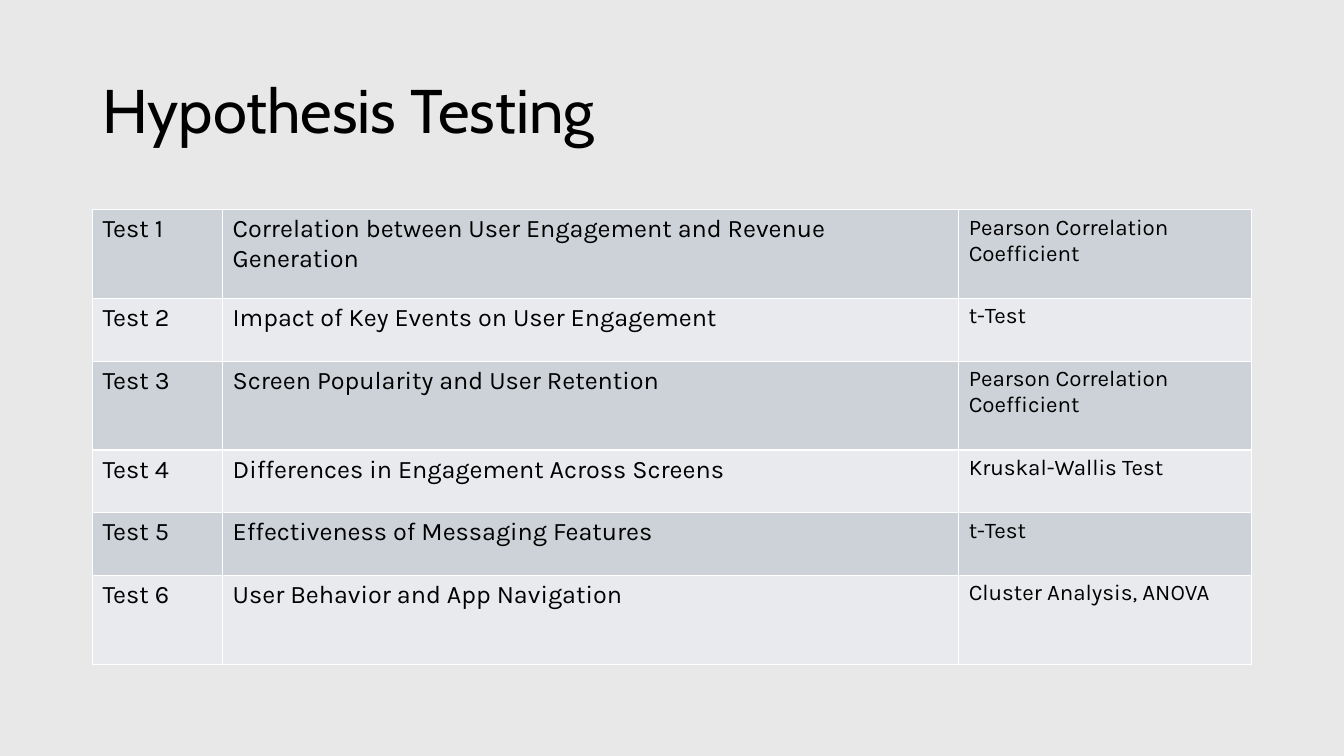
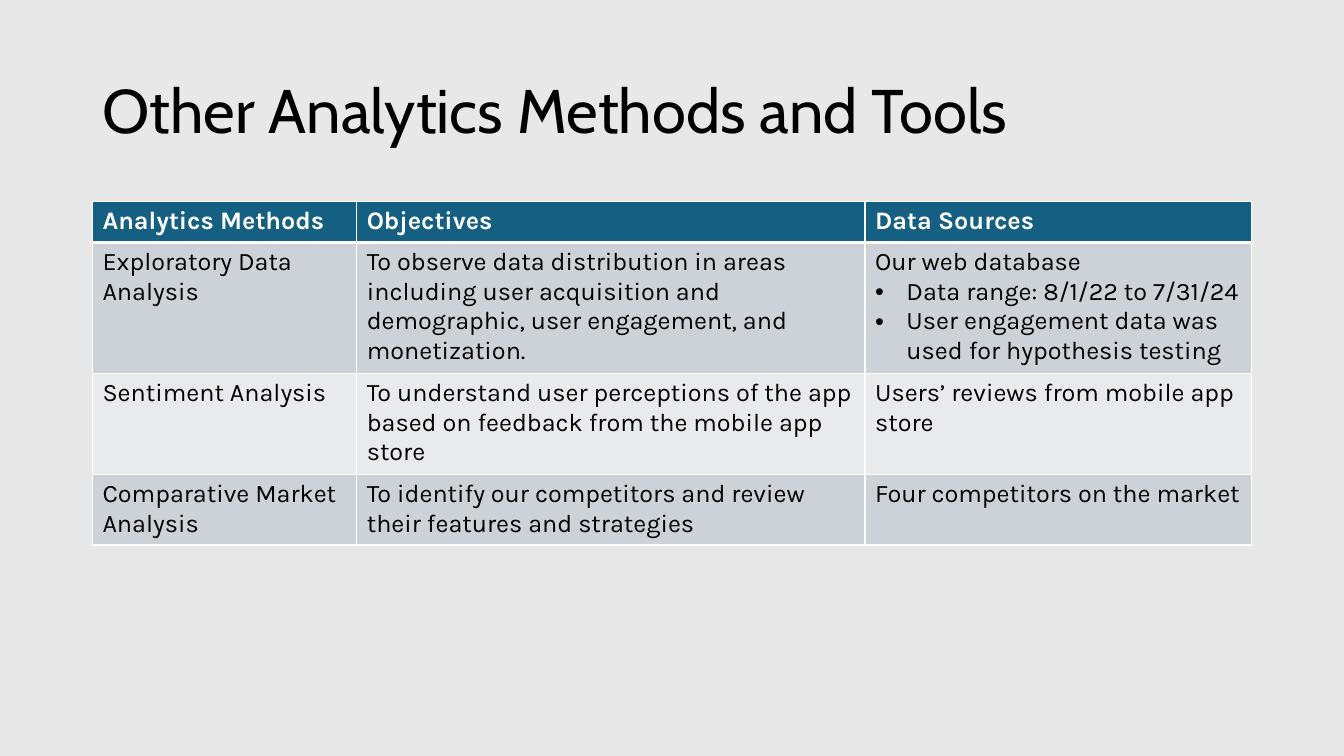
from dataclasses import dataclass

from lxml.etree import SubElement
from pptx import Presentation
from pptx.dml.color import RGBColor
from pptx.enum.text import MSO_ANCHOR
from pptx.oxml.ns import qn
from pptx.util import Cm, Pt


# Theme shared by all slides
@dataclass(frozen=True)
class Theme:
    background: str = "E8E8E8"
    ink: str = "000000"
    white: str = "FFFFFF"
    header: str = "156082"
    bands: tuple = ("CCD2D8", "E8EAED")
    title_font: str = "Cabin"
    body_font: str = "Karla"
    title_size: int = 44
    body_size: int = 18
    small_size: int = 16
    thin: int = 1
    thick: int = 3
    left: float = 2.33
    width: float = 29.21


THEME = Theme()

# Content: a cell is a string, or a tuple of a lead line and its bullets
SLIDES = [
    {
        "title": "Hypothesis Testing",
        "top": 5.28,
        "columns": (3.28, 18.55, 7.38),
        "heights": (2.24, 1.58, 2.24, 1.58, 1.58, 2.24),
        "sizes": (THEME.body_size, THEME.body_size, THEME.small_size),
        "header": None,
        "rows": [
            ("Test 1", "Correlation between User Engagement and Revenue Generation",
             "Pearson Correlation Coefficient"),
            ("Test 2", "Impact of Key Events on User Engagement", "t-Test"),
            ("Test 3", "Screen Popularity and User Retention",
             "Pearson Correlation Coefficient"),
            ("Test 4", "Differences in Engagement Across Screens", "Kruskal-Wallis Test"),
            ("Test 5", "Effectiveness of Messaging Features", "t-Test"),
            ("Test 6", "User Behavior and App Navigation", "Cluster Analysis, ANOVA"),
        ],
    },
    {
        "title": "Other Analytics Methods and Tools",
        "top": 5.08,
        "columns": (6.66, 12.81, 9.74),
        "heights": (1.03, 3.24, 2.49, 1.74),
        "sizes": (THEME.body_size,) * 3,
        "header": ("Analytics Methods", "Objectives", "Data Sources"),
        "rows": [
            ("Exploratory Data Analysis",
             "To observe data distribution in areas including user acquisition and "
             "demographic, user engagement, and monetization.",
             ("Our web database", "Data range: 8/1/22 to 7/31/24",
              "User engagement data was used for hypothesis testing")),
            ("Sentiment Analysis",
             "To understand user perceptions of the app based on feedback from the "
             "mobile app store",
             "Users’ reviews from mobile app store"),
            ("Comparative Market Analysis",
             "To identify our competitors and review their features and strategies",
             "Four competitors on the market"),
        ],
    },
]


def add_bullet(para):
    properties = para._p.get_or_add_pPr()
    properties.set("marL", str(Cm(0.79)))
    properties.set("indent", str(-Cm(0.79)))
    SubElement(properties, qn("a:buFont"), typeface="Arial")
    SubElement(properties, qn("a:buChar"), char="•")


def write_text(frame, content, *, size, font=THEME.body_font, color=THEME.ink,
               bold=False, spacing=None):
    lines = (content,) if isinstance(content, str) else content
    frame.word_wrap = True
    for index, line in enumerate(lines):
        para = frame.add_paragraph() if index else frame.paragraphs[0]
        if spacing:
            para.line_spacing = spacing
        if index:
            add_bullet(para)
        span = para.add_run()
        span.text = line
        span.font.size = Pt(size)
        span.font.name = font
        span.font.bold = bold
        span.font.color.rgb = RGBColor.from_string(color)


def set_borders(cell, top, bottom):
    properties = cell._tc.get_or_add_tcPr()
    widths = {"lnL": THEME.thin, "lnR": THEME.thin, "lnT": top, "lnB": bottom}
    for side, width in widths.items():
        line = SubElement(properties, qn(f"a:{side}"), w=str(Pt(width)))
        fill = SubElement(line, qn("a:solidFill"))
        SubElement(fill, qn("a:srgbClr"), val=THEME.white)


def add_title(page, text):
    box = page.shapes.add_textbox(Cm(THEME.left), Cm(1.02), Cm(THEME.width), Cm(3.68))
    box.text_frame.vertical_anchor = MSO_ANCHOR.MIDDLE
    write_text(box.text_frame, text, size=THEME.title_size, font=THEME.title_font,
               spacing=0.9)


def add_grid(page, content):
    header = content["header"]
    rows = ([header] if header else []) + content["rows"]
    first_body = 1 if header else 0
    table = page.shapes.add_table(
        len(rows), len(content["columns"]), Cm(THEME.left), Cm(content["top"]),
        Cm(THEME.width), Cm(sum(content["heights"]))).table
    table.first_row = bool(header)
    table.horz_banding = False
    for column, width in zip(table.columns, content["columns"]):
        column.width = Cm(width)

    for index, (row, values) in enumerate(zip(table.rows, rows)):
        row.height = Cm(content["heights"][index])
        is_header = index < first_body
        band = THEME.bands[(index - first_body) % 2]
        # The rule under the header is shared with the first body row
        top = THEME.thick if header and index == first_body else THEME.thin
        bottom = THEME.thick if is_header else THEME.thin
        for cell, value, size in zip(row.cells, values, content["sizes"]):
            set_borders(cell, top, bottom)
            cell.fill.solid()
            cell.fill.fore_color.rgb = RGBColor.from_string(
                THEME.header if is_header else band)
            write_text(cell.text_frame, value, size=size, bold=is_header,
                       color=THEME.white if is_header else THEME.ink)


def main():
    deck = Presentation()
    deck.slide_width, deck.slide_height = Cm(33.87), Cm(19.05)
    for content in SLIDES:
        page = deck.slides.add_slide(deck.slide_layouts[6])
        page.background.fill.solid()
        page.background.fill.fore_color.rgb = RGBColor.from_string(THEME.background)
        add_title(page, content["title"])
        add_grid(page, content)
    deck.save("out.pptx")


if __name__ == "__main__":
    main()
